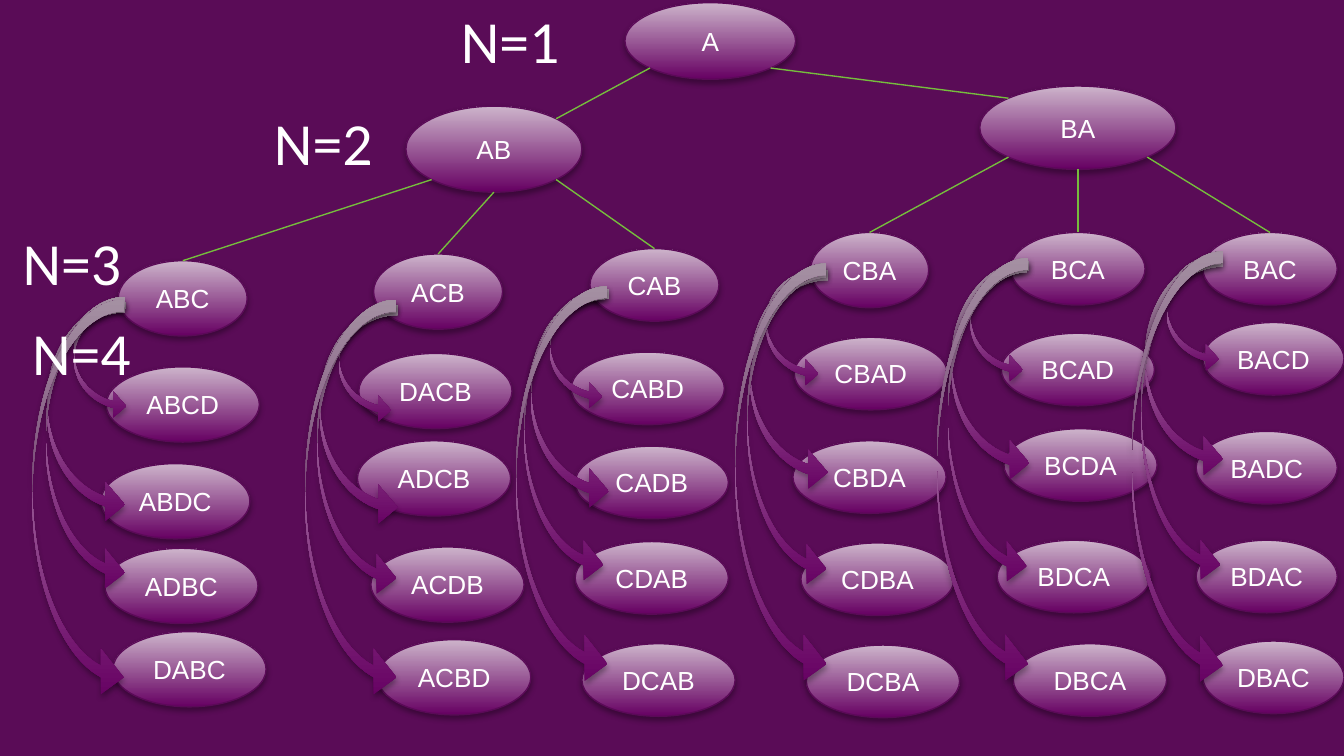
from lxml.etree import SubElement
from pptx import Presentation
from pptx.dml.color import RGBColor
from pptx.enum.shapes import MSO_CONNECTOR, MSO_SHAPE
from pptx.enum.text import MSO_ANCHOR, PP_ALIGN
from pptx.oxml import parse_xml
from pptx.oxml.ns import qn
from pptx.util import Inches, Pt

SHADOW = (
    '<a:effectLst xmlns:a="http://schemas.openxmlformats.org/drawingml/2006/main">'
    '<a:outerShdw blurRad="40000" dist="23000" dir="5400000" rotWithShape="0">'
    '<a:srgbClr val="000000"><a:alpha val="35000"/></a:srgbClr>'
    '</a:outerShdw></a:effectLst>'
)
color = RGBColor.from_string

# Widescreen 16:9 slide
prs = Presentation()
prs.slide_width = Inches(10)
prs.slide_height = Inches(10 * 9 / 16)
slide = prs.slides.add_slide(prs.slide_layouts[6])
slide.background.fill.solid()
slide.background.fill.fore_color.rgb = color("5A0C57")


def add_shaded(kind, box):
    """Add a shape with the purple gradient and soft shadow."""
    shape = slide.shapes.add_shape(kind, *map(Inches, box))
    shape.fill.gradient()
    shape.fill.gradient_angle = 90
    for stop, tone in zip(shape.fill.gradient_stops, ("660062", "CDB4CB")):
        stop.color.rgb = color(tone)
    shape.line.fill.background()
    shape._element.spPr.append(parse_xml(SHADOW))
    return shape


def add_node(name, box):
    """Add an ellipse that holds one permutation."""
    node = add_shaded(MSO_SHAPE.OVAL, box)
    node.line.color.rgb = color("5A0A57")
    node.line.width = Pt(0.75)
    frame = node.text_frame
    frame.text = name
    frame.word_wrap = False
    frame.vertical_anchor = MSO_ANCHOR.MIDDLE
    label = frame.paragraphs[0]
    label.alignment = PP_ALIGN.CENTER
    label.font.name, label.font.size = "Arial", Pt(14)
    label.font.color.rgb = color("FFFFFF")
    return node


# Upper levels of the tree
tree = {
    "A": (4.65, 0.02, 1.27, 0.57),
    "AB": (3.02, 0.79, 1.31, 0.64),
    "BA": (7.29, 0.64, 1.46, 0.62),
    "ABC": (0.88, 1.94, 0.96, 0.56),
    "ACB": (2.78, 1.89, 0.96, 0.56),
    "CAB": (4.39, 1.85, 0.96, 0.54),
    "CBA": (6.03, 1.73, 0.88, 0.56),
    "BCA": (7.52, 1.73, 1, 0.54),
    "BAC": (8.95, 1.73, 1, 0.54),
}
nodes = {name: add_node(name, box) for name, box in tree.items()}

# Branches: side is -1 left, 0 middle, 1 right; reach leads to the 45° point of an ellipse
reach = 0.5 * 0.5 ** 0.5
branches = [
    ("A", "AB", -1), ("A", "BA", 1),
    ("AB", "ABC", -1), ("AB", "ACB", 0), ("AB", "CAB", 1),
    ("BA", "CBA", -1), ("BA", "BCA", 0), ("BA", "BAC", 1),
]
for parent, child, side in branches:
    x, y, w, h = tree[parent]
    start = x + w / 2 + side * reach * w, y + h / 2 + h * (reach if side else 0.5)
    x, y, w, h = tree[child]
    end = x + w / 2 - side * reach * w, y + h / 2 - reach * h
    branch = slide.shapes.add_connector(
        MSO_CONNECTOR.STRAIGHT, *map(Inches, start + end))
    if parent != "A":
        branch.end_connect(nodes[child], 0)
    branch.line.color.rgb = color("76BD3D")
    branch.line.width = Pt(0.75)
    SubElement(branch._element.spPr, qn("a:effectLst"))

# Fourth level: ellipse size, then name, left and top of each ellipse
columns = [
    (1.14, 0.56, [("ABCD", 0.79, 2.73), ("ABDC", 0.75, 3.45),
                  ("ADBC", 0.78, 4.08), ("DABC", 0.84, 4.7)]),
    (1.14, 0.56, [("DACB", 2.67, 2.63), ("ADCB", 2.66, 3.28),
                  ("ACDB", 2.76, 4.07), ("ACBD", 2.81, 4.76)]),
    (1.14, 0.54, [("CABD", 4.25, 2.62), ("CADB", 4.28, 3.32),
                  ("CDAB", 4.28, 4.03), ("DCAB", 4.33, 4.79)]),
    (1.14, 0.54, [("CBAD", 5.91, 2.51), ("CBDA", 5.9, 3.28),
                  ("CDBA", 5.96, 4.04), ("DCBA", 6, 4.8)]),
    (1.14, 0.54, [("BCAD", 7.45, 2.48), ("BCDA", 7.47, 3.19),
                  ("BDCA", 7.42, 4.02), ("DBCA", 7.54, 4.79)]),
    (1.05, 0.54, [("BACD", 8.95, 2.4), ("BADC", 8.9, 3.21),
                  ("BDAC", 8.9, 4.02), ("DBAC", 8.95, 4.77)]),
]
for width, height, leaves in columns:
    for name, left, top in leaves:
        # ABDC is slightly narrower than the rest of its column
        add_node(name, (left, top, 1.11 if name == "ABDC" else width, height))

# Curved arrows: left, top and height, from the shortest to the longest
arrow_widths = (0.39, 0.58, 0.59, 0.68)
arrow_groups = [
    [(0.55, 2.25, 0.87), (0.35, 2.25, 1.65), (0.34, 2.21, 2.2), (0.24, 2.23, 2.98)],
    [(2.52, 2.28, 0.87), (2.38, 2.27, 1.65), (2.36, 2.25, 2.2), (2.27, 2.23, 2.98)],
    [(4.09, 2.18, 0.87), (3.95, 2.15, 1.65), (3.9, 2.15, 2.2), (3.84, 2.13, 2.98)],
    [(5.7, 2.01, 0.87), (5.58, 2.01, 1.65), (5.56, 1.99, 2.39), (5.47, 1.96, 3.15)],
    [(7.22, 1.98, 0.87), (7.08, 1.94, 1.65), (7.05, 1.95, 2.41), (6.97, 1.92, 3.19)],
    [(8.68, 1.9, 0.87), (8.52, 1.91, 1.65), (8.49, 1.89, 2.46), (8.42, 1.87, 3.25)],
]
for group in arrow_groups:
    for width, (left, top, height) in zip(arrow_widths, group):
        arrow = add_shaded(MSO_SHAPE.CURVED_RIGHT_ARROW, (left, top, width, height))
        arrow.adjustments[0] = 0.127
        arrow.adjustments[1] = 0.5
        arrow.adjustments[2] = 0.25

# Level labels
for level, left, top in [("N=1", 3.33, -0.02), ("N=2", 1.94, 0.74),
                         ("N=3", 0.07, 1.63), ("N=4", 0.14, 2.3)]:
    caption = slide.shapes.add_textbox(
        Inches(left), Inches(top), Inches(1.41), Inches(0.64)).text_frame
    caption.word_wrap = True
    caption.text = level
    font = caption.paragraphs[0].font
    font.name, font.size = "Calibri", Pt(32)
    font.color.rgb = color("FFFFFF")

prs.save("out.pptx")
